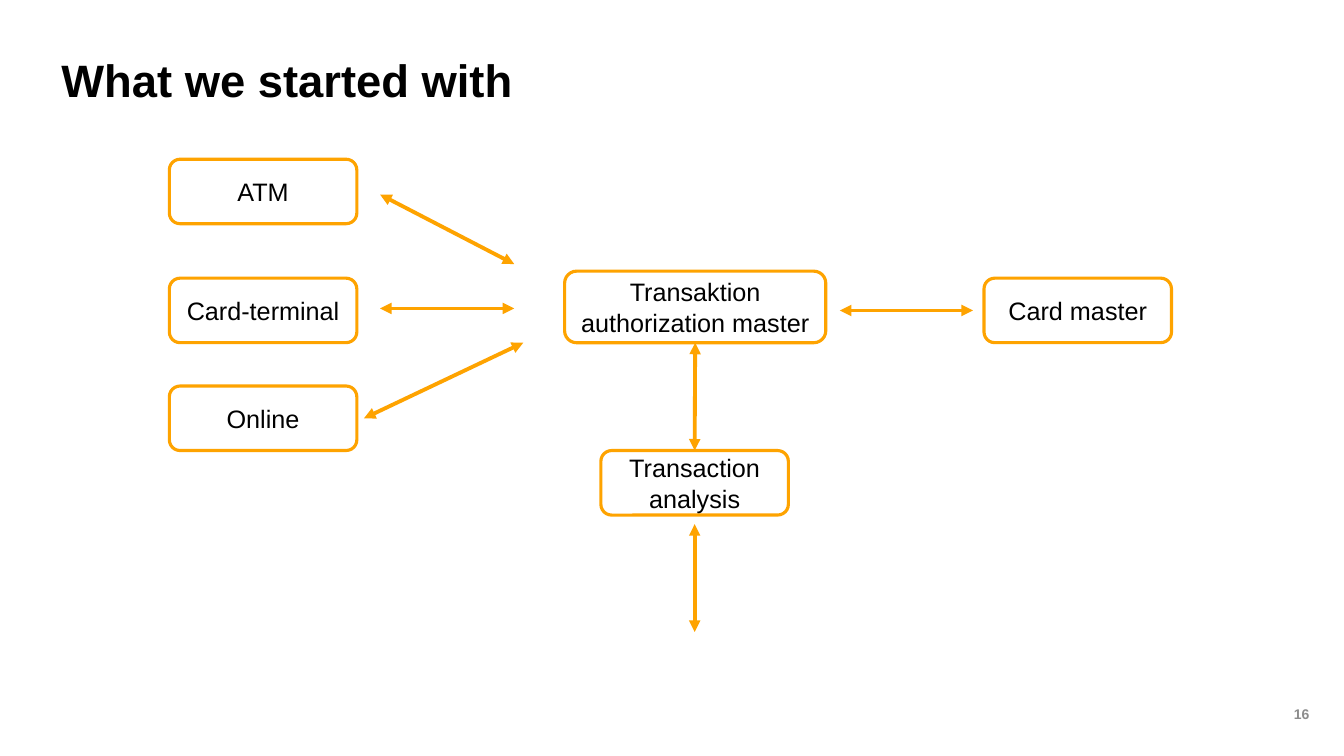
from dataclasses import dataclass

from lxml.etree import SubElement
from pptx import Presentation
from pptx.dml.color import RGBColor
from pptx.enum.shapes import MSO_CONNECTOR as Connector, MSO_SHAPE as Shape
from pptx.enum.text import MSO_ANCHOR as Anchor, PP_ALIGN as Align
from pptx.oxml.ns import qn
from pptx.util import Inches, Pt


@dataclass(frozen=True)
class Theme:
    """Colours, font and type sizes of the slide."""
    font: str = "Arial"
    ink: RGBColor = RGBColor(0x00, 0x00, 0x00)
    muted: RGBColor = RGBColor(0x8C, 0x8C, 0x8C)
    paper: RGBColor = RGBColor(0xFF, 0xFF, 0xFF)
    accent: RGBColor = RGBColor(0xFE, 0xA3, 0x00)
    title_size: float = 32.4
    body_size: float = 18
    number_size: float = 10
    border: float = 2.25
    arrow: float = 2.75


class DiagramSlide:
    """Draws styled elements on one slide."""

    def __init__(self, slide, theme):
        """Keep the slide and its theme."""
        self.slide = slide
        self.theme = theme

    def set_text(self, frame, text, size, color, align, anchor, bold=False):
        """Fill a text frame with one styled paragraph."""
        frame.word_wrap = True
        frame.vertical_anchor = anchor
        frame.text = text
        paragraph = frame.paragraphs[0]
        paragraph.alignment = align
        font = paragraph.runs[0].font
        font.name, font.size, font.bold = self.theme.font, Pt(size), bold
        font.color.rgb = color

    def title(self, text, left, top, width, height):
        """Add the slide title."""
        heading = self.slide.shapes.add_textbox(*map(Inches, (left, top, width, height)))
        self.set_text(heading.text_frame, text, self.theme.title_size, self.theme.ink,
                      Align.LEFT, Anchor.BOTTOM, bold=True)
        heading.text_frame.margin_left = 0
        heading.text_frame.paragraphs[0].line_spacing = 0.9

    def page_number(self, text, left, top, side):
        """Add the page number."""
        number = self.slide.shapes.add_textbox(*map(Inches, (left, top, side, side)))
        self.set_text(number.text_frame, text, self.theme.number_size, self.theme.muted,
                      Align.CENTER, Anchor.MIDDLE, bold=True)

    def system(self, text, left, top, width=1.86, height=0.64):
        """Add a rounded box for one system."""
        box = self.slide.shapes.add_shape(
            Shape.ROUNDED_RECTANGLE, *map(Inches, (left, top, width, height)))
        box.shadow.inherit = False
        box.fill.solid()
        box.fill.fore_color.rgb = self.theme.paper
        box.line.color.rgb = self.theme.accent
        box.line.width = Pt(self.theme.border)
        self.set_text(box.text_frame, text, self.theme.body_size, self.theme.ink,
                      Align.CENTER, Anchor.MIDDLE)
        return box

    def exchange(self, start, end):
        """Add a two-headed arrow between two points."""
        arrow = self.slide.shapes.add_connector(
            Connector.STRAIGHT, *map(Inches, (*start, *end)))
        arrow.line.color.rgb = self.theme.accent
        arrow.line.width = Pt(self.theme.arrow)
        properties = arrow.element.spPr
        for head in ("a:headEnd", "a:tailEnd"):
            SubElement(properties.find(qn("a:ln")), qn(head), type="triangle")
        SubElement(properties, qn("a:effectLst"))
        return arrow


def main():
    """Build and save the slide."""
    deck = Presentation()
    deck.slide_width, deck.slide_height = Inches(13.33), Inches(7.5)
    diagram = DiagramSlide(deck.slides.add_slide(deck.slide_layouts[6]), Theme())

    diagram.page_number("16", 12.49, 6.66, 0.84)
    diagram.title("What we started with", 0.61, 0.48, 11.9, 0.63)

    for channel, top in (("ATM", 1.58), ("Card-terminal", 2.76), ("Online", 3.83)):
        diagram.system(channel, 1.68, top)
    authorization = diagram.system("Transaktion authorization master", 5.6, 2.69, 2.59, 0.71)
    diagram.system("Card master", 9.76, 2.76)
    analysis = diagram.system("Transaction analysis", 5.96, 4.47)

    for start, end in (
        ((3.77, 1.93), (5.1, 2.62)),
        ((3.77, 3.06), (5.1, 3.06)),
        ((3.61, 4.15), (5.19, 3.4)),
        ((8.33, 3.08), (9.65, 3.08)),
        ((6.89, 5.2), (6.89, 6.27)),
    ):
        diagram.exchange(start, end)
    review = diagram.exchange((6.89, 3.4), (6.89, 4.47))
    review.begin_connect(authorization, 2)
    review.end_connect(analysis, 0)

    deck.save("out.pptx")


if __name__ == "__main__":
    main()
